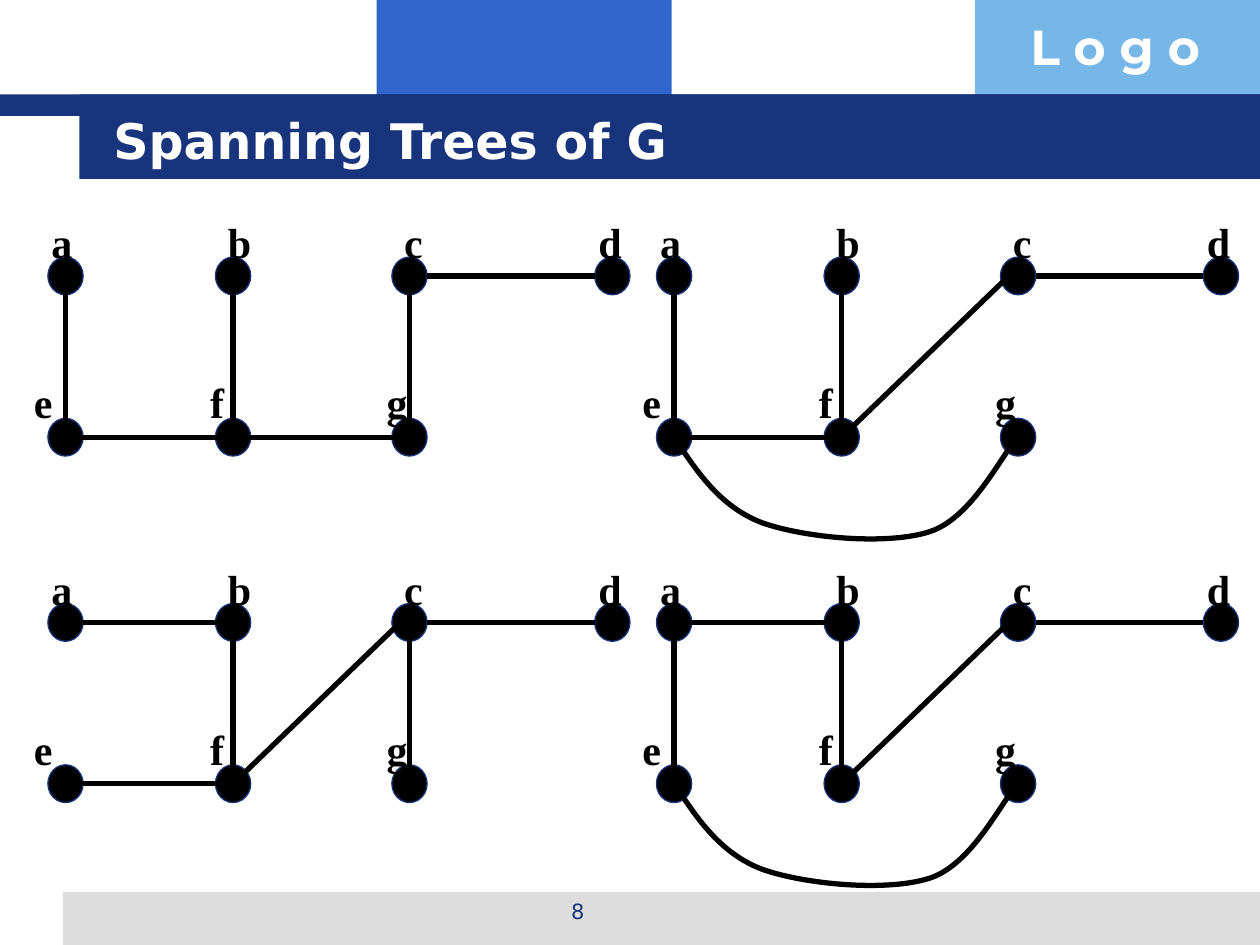
from lxml import etree
from pptx import Presentation
from pptx.dml.color import RGBColor
from pptx.enum.shapes import MSO_CONNECTOR, MSO_SHAPE
from pptx.enum.text import MSO_ANCHOR, MSO_AUTO_SIZE, PP_ALIGN
from pptx.oxml.ns import qn
from pptx.util import Inches, Pt

RECTANGLE, OVAL = MSO_SHAPE.RECTANGLE, MSO_SHAPE.OVAL
STRAIGHT = MSO_CONNECTOR.STRAIGHT
LEFT, CENTER = PP_ALIGN.LEFT, PP_ALIGN.CENTER
MIDDLE, TOP = MSO_ANCHOR.MIDDLE, MSO_ANCHOR.TOP
NO_AUTOFIT = MSO_AUTO_SIZE.NONE

NAVY = RGBColor(0x17, 0x34, 0x7D)
BLUE = RGBColor(0x33, 0x66, 0xCC)
SKY = RGBColor(0x77, 0xB7, 0xE7)
GRAY = RGBColor(0xDD, 0xDD, 0xDD)
BLACK = RGBColor(0, 0, 0)
WHITE = RGBColor(0xFF, 0xFF, 0xFF)

# Content: background bands as left, top, width, height, colour
BANDS = [
    (2.99, 0, 2.34, 0.92, BLUE),
    (7.74, 0, 2.26, 0.92, SKY),
    (0.5, 7.08, 9.5, 0.42, GRAY),
    (0, 0.75, 10, 0.17, NAVY),
    (0.63, 0.75, 9.37, 0.67, NAVY),
]
TITLE = "Spanning Trees of G"

# Graph geometry, measured from the centre of vertex a
VERTICES = {"a": (0, 0), "b": (1.33, 0), "c": (2.73, 0), "d": (4.34, 0),
            "e": (0, 1.28), "f": (1.33, 1.28), "g": (2.73, 1.28)}
LABELS = {"a": (-0.21, -0.52), "b": (1.19, -0.52), "c": (2.59, -0.52),
          "d": (4.13, -0.52), "e": (-0.35, 0.75), "f": (1.05, 0.75),
          "g": (2.45, 0.75)}
EDGES = {
    "ab": ((0, 0), (1.33, 0)),
    "ae": ((0, 0), (0, 1.36)),
    "bf": ((1.33, -0.07), (1.33, 1.28)),
    "cd": ((2.87, 0), (4.2, 0)),
    "cf": ((2.73, -0.07), (1.33, 1.28)),
    "cg": ((2.73, 0), (2.73, 1.28)),
    "ef": ((0, 1.28), (1.33, 1.28)),
    "fg": ((1.4, 1.28), (2.73, 1.28)),
}
# Curved edge e-g: start point, then three Bezier points per segment
CURVE_EG = [(0, 1.28), (0.18, 1.55), (0.36, 1.83), (0.7, 1.96),
            (1.04, 2.08), (1.69, 2.14), (2.03, 2.03),
            (2.37, 1.92), (2.61, 1.4), (2.73, 1.28)]

# The four trees: centre of vertex a, straight edges, has curved edge
TREES = [
    ((0.52, 2.19), ["cd", "ef", "fg", "bf", "cg", "ae"], False),
    ((5.35, 2.19), ["cd", "ef", "bf", "cf", "ae"], True),
    ((0.52, 4.94), ["ab", "cd", "ef", "bf", "cf", "cg"], False),
    ((5.35, 4.94), ["ab", "cd", "bf", "cf", "ae"], True),
]
NODE_W, NODE_H = 0.28, 0.3
LABEL_W, LABEL_H = 0.35, 0.5


def add_filled(shape_kind, left, top, width, height, color):
    shape = slide.shapes.add_shape(
        shape_kind, Inches(left), Inches(top), Inches(width), Inches(height))
    shape.shadow.inherit = False
    shape.fill.solid()
    shape.fill.fore_color.rgb = color
    shape.line.fill.background()
    return shape


def write(shape, text, size, font_name, color, bold=True, align=LEFT, anchor=TOP):
    frame = shape.text_frame
    frame.text = text
    frame.word_wrap = True
    frame.auto_size = NO_AUTOFIT
    frame.vertical_anchor = anchor
    paragraph = frame.paragraphs[0]
    paragraph.alignment = align
    font = paragraph.runs[0].font
    font.size, font.name, font.bold = Pt(size), font_name, bold
    font.color.rgb = color


def add_label(left, top, width, height, *style, **options):
    box = slide.shapes.add_textbox(
        Inches(left), Inches(top), Inches(width), Inches(height))
    write(box, *style, **options)


def draw_as_edge(shape):
    shape.line.color.rgb = BLACK
    shape.line.width = Pt(3)


def add_edge(start, end):
    edge = slide.shapes.add_connector(STRAIGHT, *map(Inches, start + end))
    draw_as_edge(edge)
    etree.SubElement(edge._element.spPr, qn("a:effectLst"))


def add_curve(points):
    start, *rest = [(Inches(x), Inches(y)) for x, y in points]
    builder = slide.shapes.build_freeform(*start)
    builder.add_line_segments(rest, close=False)
    curve = builder.convert_to_shape()
    curve.shadow.inherit = False
    curve.fill.background()
    draw_as_edge(curve)
    # Merge every three straight segments into one Bezier segment
    segments = list(curve._element.iter(qn("a:lnTo")))
    for i in range(0, len(segments), 3):
        bezier = etree.Element(qn("a:cubicBezTo"))
        segments[i].addprevious(bezier)
        for segment in segments[i:i + 3]:
            bezier.append(segment[0])
            segment.getparent().remove(segment)


def add_tree(origin, edges, curved):
    def place(point):
        return origin[0] + point[0], origin[1] + point[1]

    for center in VERTICES.values():
        x, y = place(center)
        node = add_filled(OVAL, x - NODE_W / 2, y - NODE_H / 2, NODE_W, NODE_H, BLACK)
        node.line.color.rgb = NAVY
        node.line.width = Pt(0.75)
    for edge in edges:
        start, end = EDGES[edge]
        add_edge(place(start), place(end))
    if curved:
        add_curve([place(point) for point in CURVE_EG])
    for letter, corner in LABELS.items():
        add_label(*place(corner), LABEL_W, LABEL_H,
                  letter, 24, "Times New Roman", BLACK)


prs = Presentation()
prs.slide_width, prs.slide_height = Inches(10), Inches(7.5)
slide = prs.slides.add_slide(prs.slide_layouts[5])

# Background bands, logo text and page number
for band in BANDS:
    add_filled(RECTANGLE, *band)
add_label(8.08, 0.08, 1.93, 0.57, "L o g o", 28, "Montserrat", WHITE)
add_label(3.42, 7.08, 2.33, 0.35, "8", 12, "DejaVu Sans", NAVY,
          bold=False, align=CENTER)

# Spanning trees
for tree in TREES:
    add_tree(*tree)

# Title, brought in front of its band
title = slide.shapes.title
title.left, title.top = Inches(0.8), Inches(0.8)
title.width, title.height = Inches(8.53), Inches(0.62)
write(title, TITLE, 28, "DejaVu Sans", WHITE, anchor=MIDDLE)
title._element.getparent().append(title._element)

prs.save("out.pptx")
